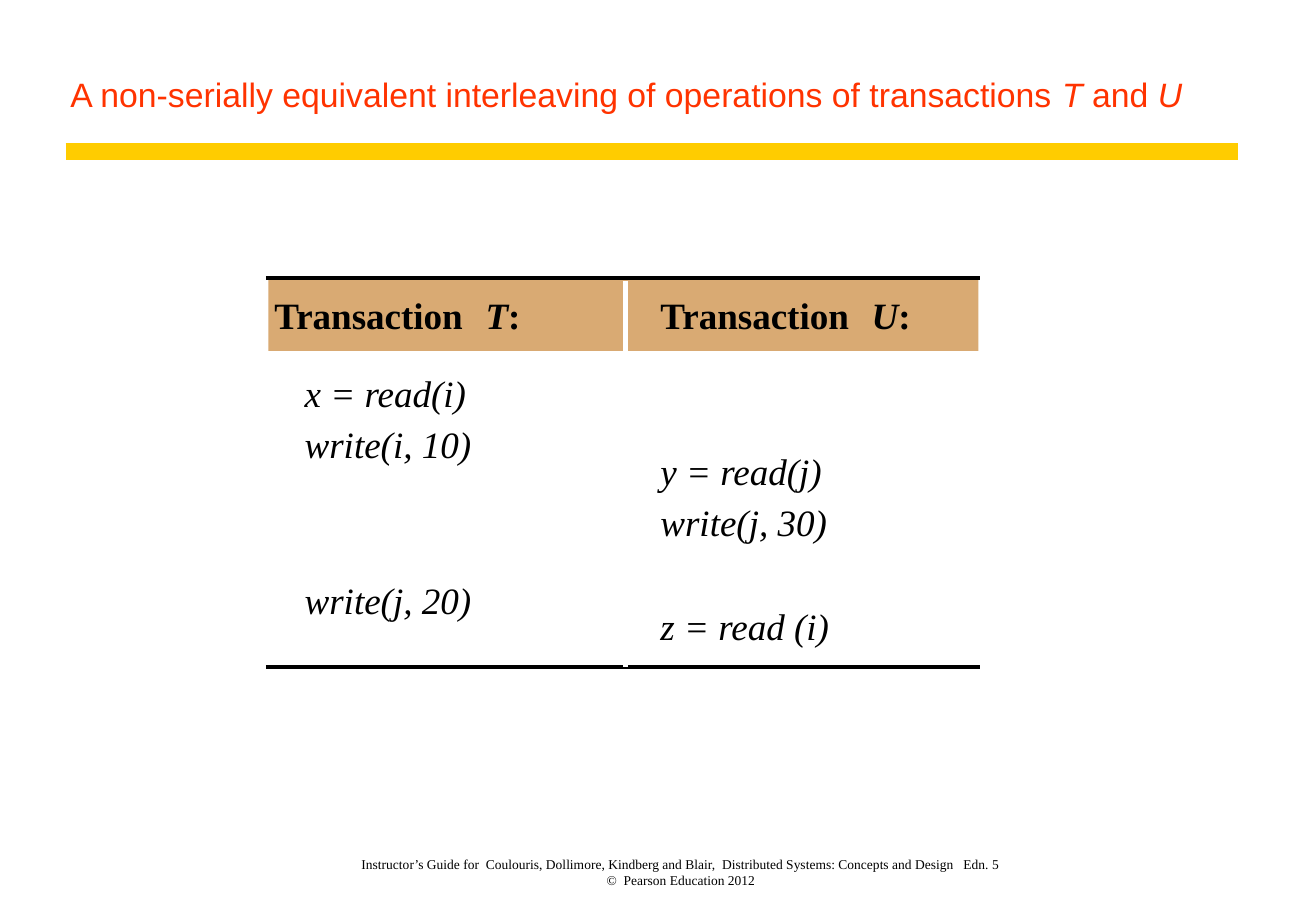
from lxml import etree
from pptx import Presentation
from pptx.dml.color import RGBColor
from pptx.enum.shapes import MSO_CONNECTOR, MSO_SHAPE
from pptx.enum.text import MSO_ANCHOR, MSO_AUTO_SIZE, PP_ALIGN
from pptx.oxml.ns import qn
from pptx.util import Pt

STRAIGHT = MSO_CONNECTOR.STRAIGHT
RECTANGLE = MSO_SHAPE.RECTANGLE
BOTTOM = MSO_ANCHOR.BOTTOM
NO_FIT = MSO_AUTO_SIZE.NONE
LEFT, CENTER = PP_ALIGN.LEFT, PP_ALIGN.CENTER

PX = 9144
SERIF, SANS = "Times New Roman", "Arial"
COLORS = {
    "black": "000000",
    "white": "FFFFFF",
    "title": "FF3300",
    "rule": "FFCC00",
    "header": "D9AA73",
}

HEADER_TOP = 241
FIRST_ROW_TOP = 305
ROWS_PER_64_PX = 3
LINE_HEIGHT = 37
TITLE_RUNS = [
    ("A non-serially equivalent interleaving of operations of transactions ", False),
    ("T", True),
    (" and ", False),
    ("U", True),
]
TRANSACTIONS = [
    ("T", 226, 251, [(0, "x = read(i)"), (2, "write(i, 10)"), (8, "write(j, 20)")]),
    ("U", 544, 544, [(3, "y = read(j)"), (5, "write(j, 30)"), (9, "z = read (i)")]),
]
FOOTER = (
    "Instructor’s Guide for  Coulouris, Dollimore, Kindberg and Blair,  "
    "Distributed Systems: Concepts and Design   Edn. 5\n©  Pearson Education 2012"
)


def rgb(name):
    return RGBColor.from_string(COLORS[name])


def place(shape, left, top, width, height):
    shape.left, shape.top = left * PX, top * PX
    shape.width, shape.height = width * PX, height * PX


def set_margins(tf, left, top, right, bottom):
    tf.margin_left, tf.margin_top = left * PX, top * PX
    tf.margin_right, tf.margin_bottom = right * PX, bottom * PX


def format_run(r, size, font=SERIF, color="black", bold=False, italic=False):
    r.font.name = font
    r.font.size = Pt(size)
    r.font.bold = bold
    r.font.italic = italic
    r.font.color.rgb = rgb(color)


def add_line(s, x1, y1, x2, y2, color, width):
    line = s.shapes.add_connector(STRAIGHT, x1 * PX, y1 * PX, x2 * PX, y2 * PX)
    line.line.color.rgb = rgb(color)
    line.line.width = Pt(width)
    etree.SubElement(line._element.spPr, qn("a:effectLst"))


def add_label(s, left, top, width, runs):
    box = s.shapes.add_textbox(left * PX, top * PX, width * PX, LINE_HEIGHT * PX)
    tf = box.text_frame
    tf.word_wrap = False
    set_margins(tf, 0, 0, 0, 0)
    p = tf.paragraphs[0]
    p.alignment = LEFT
    for text, bold, italic in runs:
        r = p.add_run()
        r.text = text
        format_run(r, 22, bold=bold, italic=italic)


def add_title(s):
    title = s.shapes.title
    place(title, 48, 0, 972, 100)
    tf = title.text_frame
    tf.auto_size = NO_FIT
    tf.word_wrap = True
    tf.vertical_anchor = BOTTOM
    set_margins(tf, 10, 6, 14, 6)
    p = tf.paragraphs[0]
    p.alignment = LEFT
    for text, italic in TITLE_RUNS:
        r = p.add_run()
        r.text = text
        format_run(r, 20, SANS, "title", italic=italic)


def add_header_band(s):
    band = s.shapes.add_shape(RECTANGLE, 221 * PX, 228 * PX, 585 * PX, 61 * PX)
    band.shadow.inherit = False
    band.fill.solid()
    band.fill.fore_color.rgb = rgb("header")
    band.line.fill.background()


def add_transaction(s, name, header_left, rows_left, operations):
    add_label(s, header_left, HEADER_TOP, 165, [("Transaction", True, False)])
    add_label(s, header_left + 174, HEADER_TOP, 60,
              [(name, True, True), (":", True, False)])
    for row, operation in operations:
        top = FIRST_ROW_TOP + row * 64 // ROWS_PER_64_PX
        add_label(s, rows_left, top, 150, [(operation, False, True)])


def add_footer(s):
    box = s.shapes.add_textbox(233 * PX, 692 * PX, 660 * PX, 39 * PX)
    tf = box.text_frame
    tf.word_wrap = True
    tf.vertical_anchor = BOTTOM
    set_margins(tf, 0, 0, 4, 0)
    p = tf.paragraphs[0]
    p.text = FOOTER
    p.alignment = CENTER
    for r in p.runs:
        format_run(r, 8)


def main():
    prs = Presentation()
    prs.slide_width, prs.slide_height = 1084 * PX, 750 * PX
    s = prs.slides.add_slide(prs.slide_layouts[5])
    add_title(s)
    add_footer(s)
    add_line(s, 54, 125, 1020, 125, "rule", 10)
    add_header_band(s)
    for transaction in TRANSACTIONS:
        add_transaction(s, *transaction)
    for y in (229, 549):
        add_line(s, 219, y, 807, y, "black", 2)
    add_line(s, 515, 231, 515, 549, "white", 3)
    prs.save("out.pptx")


if __name__ == "__main__":
    main()
